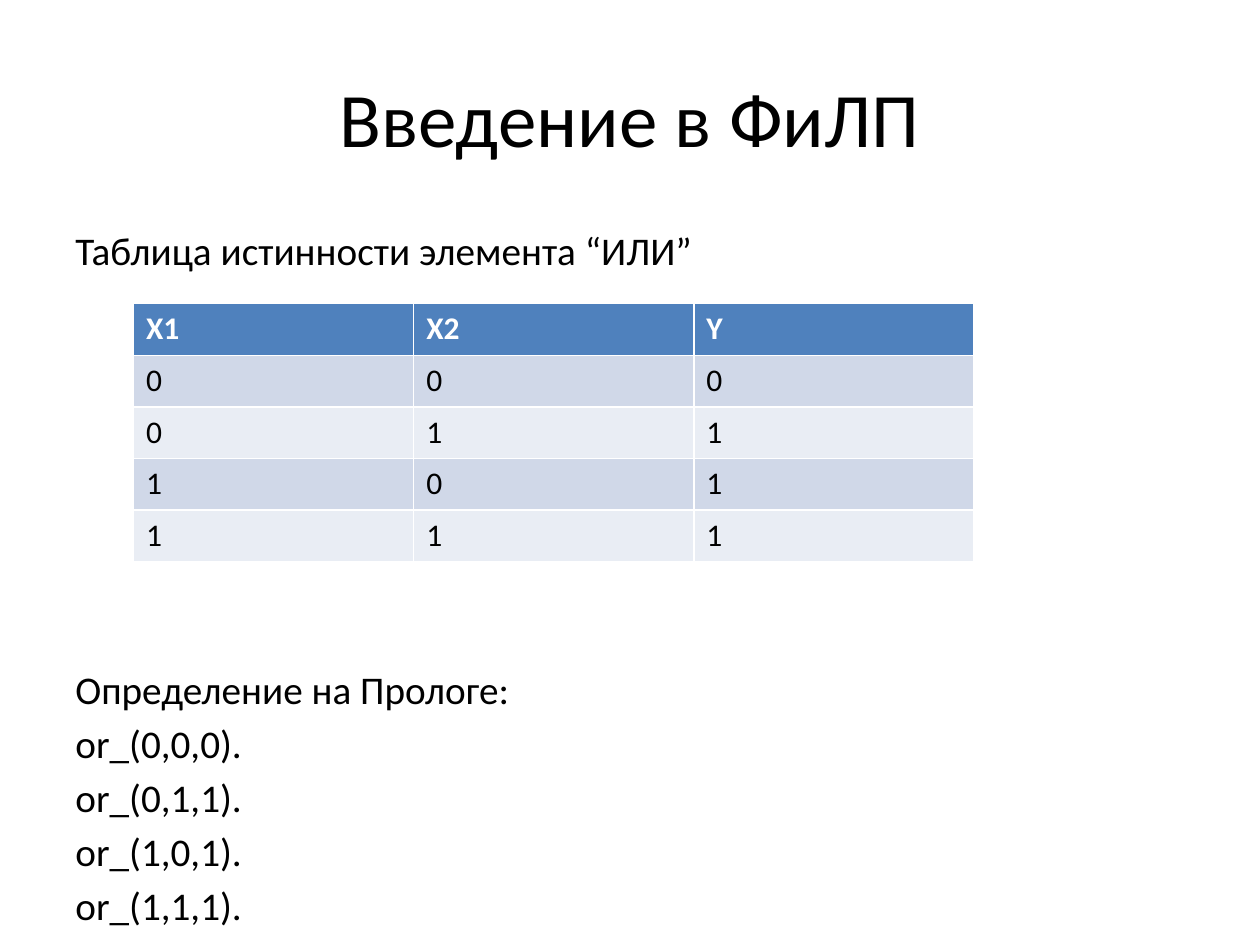
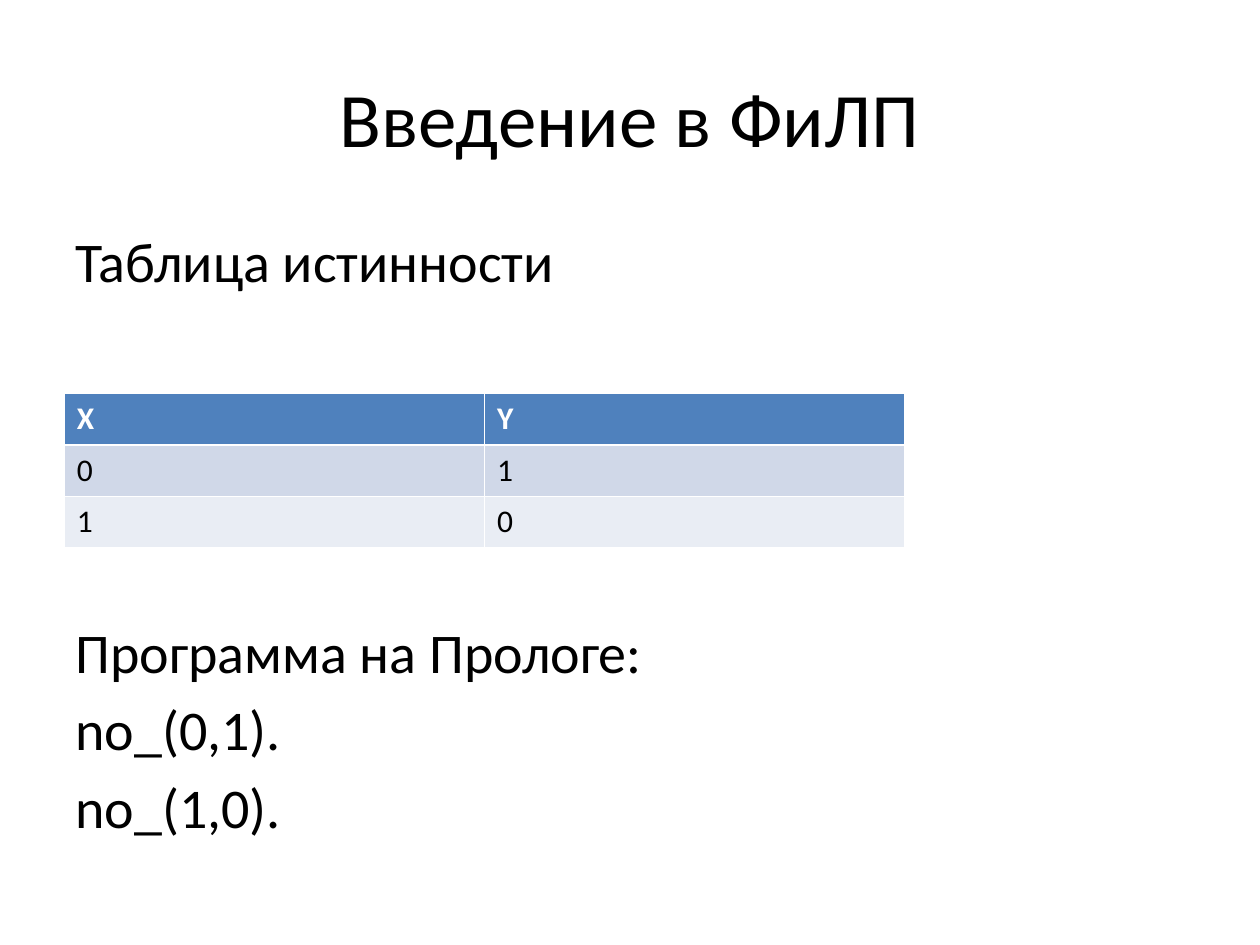
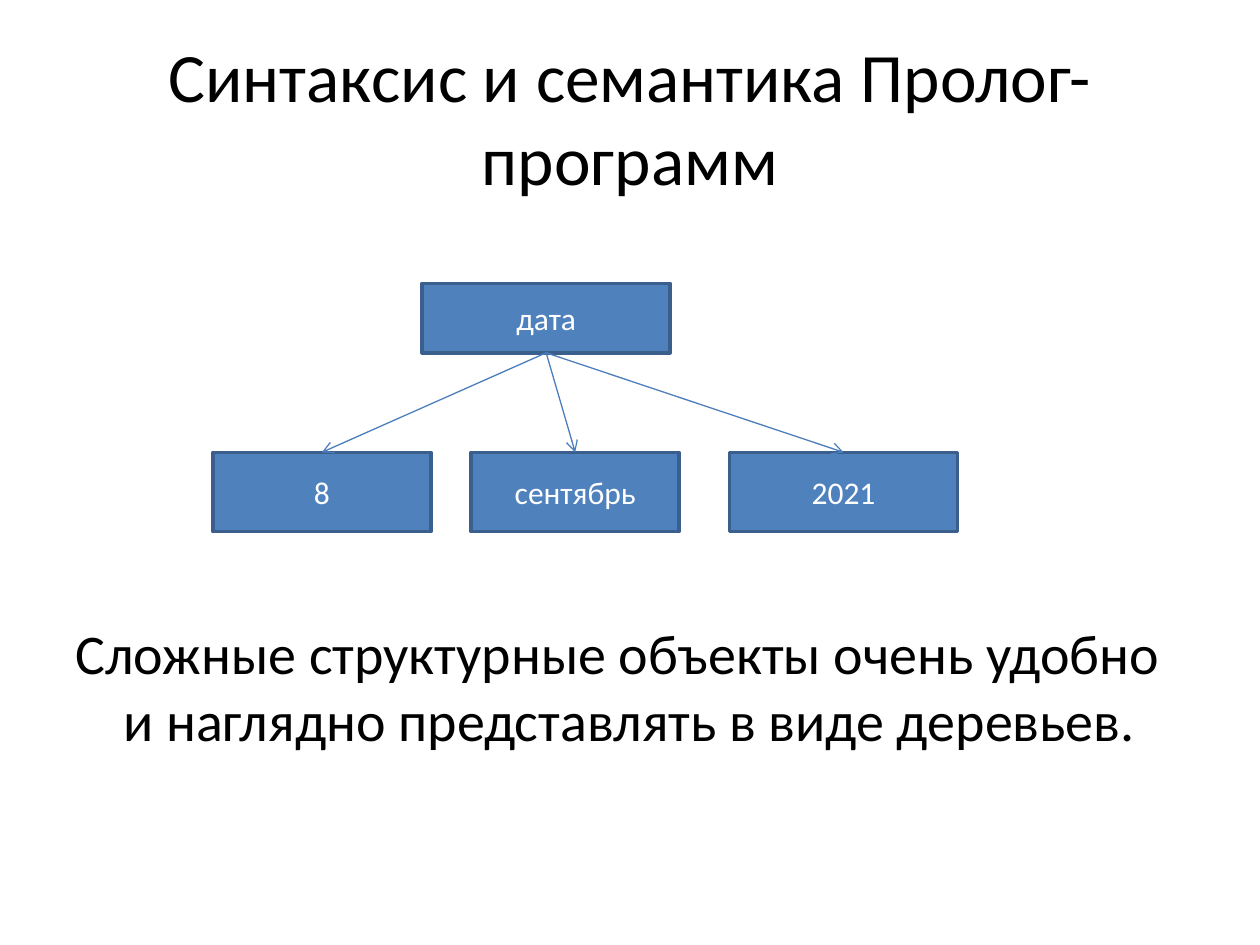
from lxml.etree import SubElement
from pptx import Presentation
from pptx.dml.color import RGBColor
from pptx.enum.shapes import MSO_CONNECTOR, MSO_SHAPE
from pptx.enum.text import MSO_ANCHOR, PP_ALIGN
from pptx.oxml.ns import qn
from pptx.util import Inches, Pt

BLACK = RGBColor(0, 0, 0)
WHITE = RGBColor(255, 255, 255)
BLUE = RGBColor(0x4F, 0x81, 0xBD)
EDGE = RGBColor(0x3A, 0x5F, 0x8C)
ARROW = RGBColor(0x4B, 0x7E, 0xBC)
BANDS = [RGBColor(0xD0, 0xD8, 0xE8), RGBColor(0xE9, 0xED, 0xF4)]
FONT = "Calibri"
LEFT, WIDE, TOP, BASE = 0.5, 9, 1.75, 6.7
ROW, SPAN = 0.41, 6.67
LINE, LEAD = 1.22, 0.18

TRUTH = [
    {
        "title": "Введение в ФиЛП",
        "size": 22.4,
        "head": "Таблица истинности элемента “ИЛИ”",
        "skip": 7,
        "code": ["Определение на Прологе:", "or_(0,0,0).", "or_(0,1,1).",
                 "or_(1,0,1).", "or_(1,1,1)."],
        "spot": (1.06, 2.41),
        "rows": [("X1", "X2", "Y"), "000", "011", "101", "111"],
    },
    {
        "title": "Введение в ФиЛП",
        "size": 32,
        "head": "Таблица истинности",
        "skip": 4,
        "code": ["Программа на Прологе:", "no_(0,1).", "no_(1,0)."],
        "spot": (0.51, 3.12),
        "rows": ["XY", "01", "10"],
    },
]
TREE = {
    "title": "Синтаксис и семантика Пролог-программ",
    "root": ("дата", 3.35, 2.25, 1.97, 0.55),
    "leaves": [("8", 1.69, 1.73), ("сентябрь", 3.74, 1.65), ("2021", 5.79, 1.81)],
    "level": (3.59, 0.63),
    "note": "Сложные структурные объекты очень удобно и наглядно "
            "представлять в виде деревьев.",
    "skip": 5,
}


def write(frame, lines, size=18, color=BLACK, bold=False, align=PP_ALIGN.LEFT,
          anchor=MSO_ANCHOR.TOP, gaps=(), hang=0):
    frame.word_wrap = True
    frame.vertical_anchor = anchor
    for i, line in enumerate(lines):
        para = frame.add_paragraph() if i else frame.paragraphs[0]
        para.alignment = align
        if gaps:
            para.space_before = Pt(gaps[i])
        if hang:
            props = para._p.get_or_add_pPr()
            props.set("marL", str(Inches(hang)))
            props.set("indent", str(-Inches(hang)))
        run = para.add_run()
        run.text = line
        font = run.font
        font.name, font.size, font.bold = FONT, Pt(size), bold
        font.color.rgb = color


def add_text(slide, lines, top, high, **look):
    box = slide.shapes.add_textbox(Inches(LEFT), Inches(top), Inches(WIDE), Inches(high))
    write(box.text_frame, lines, **look)


def add_body(slide, lines, size, top=TOP, gaps=()):
    add_text(slide, lines, top, BASE - top, size=size, gaps=gaps, hang=0.38)


def start(deck, title, size=44):
    slide = deck.slides.add_slide(deck.slide_layouts[6])
    add_text(slide, [title], 0.3, 1.25, size=size,
             align=PP_ALIGN.CENTER, anchor=MSO_ANCHOR.MIDDLE)
    return slide


def add_grid(slide, rows, spot):
    cols = len(rows[0])
    grid = slide.shapes.add_table(len(rows), cols, *map(Inches, spot),
                                  Inches(SPAN), Inches(ROW * len(rows))).table
    for col in grid.columns:
        col.width = Inches(SPAN / cols)
    for r, row in enumerate(rows):
        grid.rows[r].height = Inches(ROW)
        for c, value in enumerate(row):
            cell = grid.cell(r, c)
            cell.fill.solid()
            cell.fill.fore_color.rgb = BANDS[(r - 1) % 2] if r else BLUE
            write(cell.text_frame, [value], bold=not r, color=BLACK if r else WHITE)


def add_node(slide, text, *place):
    node = slide.shapes.add_shape(MSO_SHAPE.RECTANGLE, *map(Inches, place))
    node.shadow.inherit = False
    node.fill.solid()
    node.fill.fore_color.rgb = BLUE
    node.line.color.rgb = EDGE
    node.line.width = Pt(2)
    write(node.text_frame, [text], color=WHITE,
          align=PP_ALIGN.CENTER, anchor=MSO_ANCHOR.MIDDLE)
    return node


def link(slide, root, leaf):
    edge = slide.shapes.add_connector(MSO_CONNECTOR.STRAIGHT, 0, 0, 0, 0)
    edge.begin_connect(root, 2)
    edge.end_connect(leaf, 0)
    edge.line.color.rgb = ARROW
    edge.line.width = Pt(0.75)
    SubElement(edge.line._get_or_add_ln(), qn("a:tailEnd")).set("type", "arrow")
    SubElement(edge._element.spPr, qn("a:effectLst"))


def add_truth(deck, data):
    slide = start(deck, data["title"])
    size, code = data["size"], data["code"]
    lead = size * LEAD
    jump = data["skip"] * size * (LINE + LEAD) + lead
    gaps = [0, jump] + [lead] * (len(code) - 1)
    add_body(slide, [data["head"]] + code, size, gaps=gaps)
    add_grid(slide, data["rows"], data["spot"])


def add_tree(deck, data):
    slide = start(deck, data["title"], size=39.6)
    size = 32
    add_body(slide, [data["note"]], size,
             top=TOP + data["skip"] * size * (LINE + LEAD) / 72)
    root = add_node(slide, *data["root"])
    top, high = data["level"]
    leaves = [add_node(slide, text, left, top, wide, high)
              for text, left, wide in data["leaves"]]
    for leaf in leaves:
        link(slide, root, leaf)


def main():
    deck = Presentation()
    deck.slide_width, deck.slide_height = Inches(10), Inches(7.5)
    for data in TRUTH:
        add_truth(deck, data)
    add_tree(deck, TREE)
    deck.save("out.pptx")


if __name__ == "__main__":
    main()
